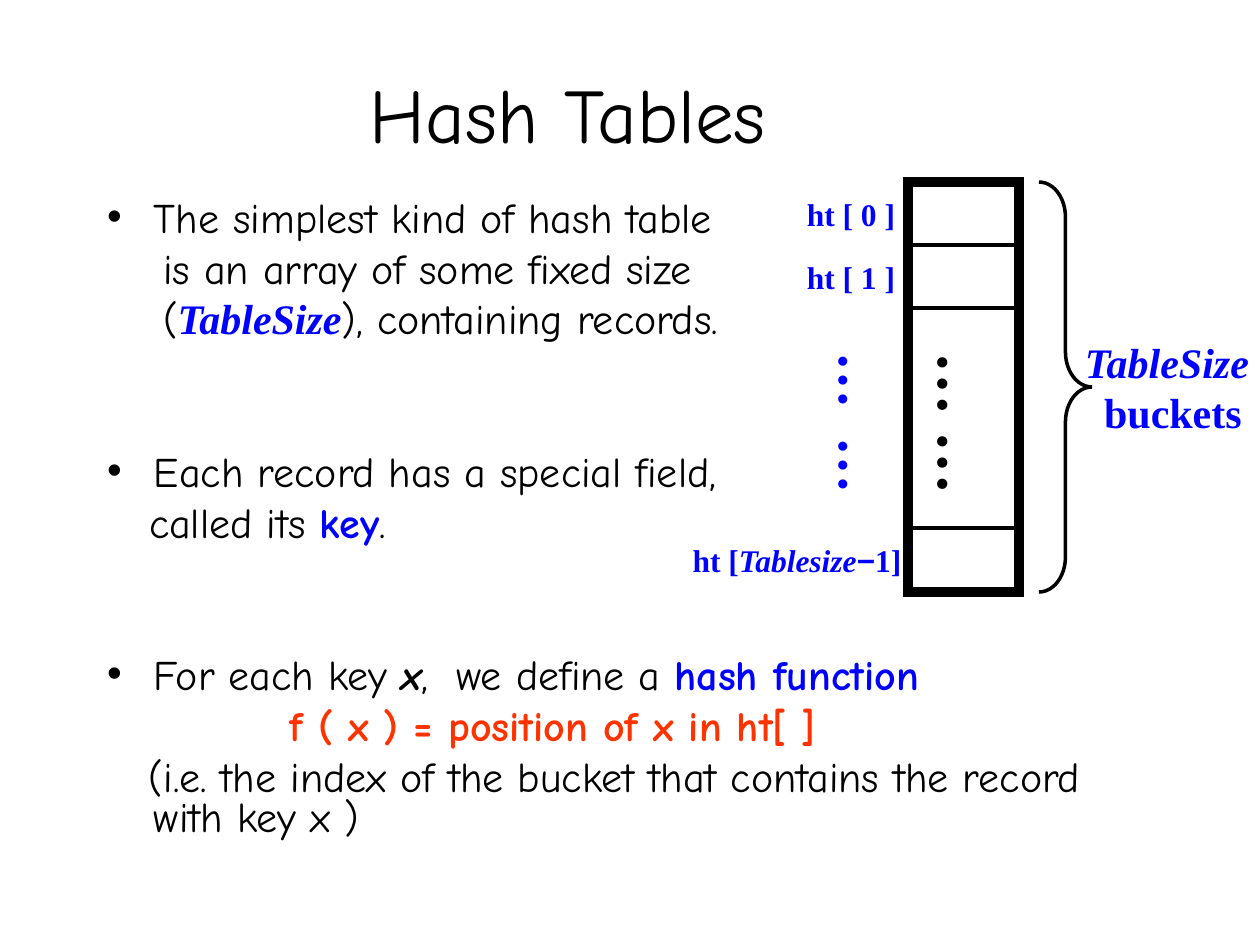
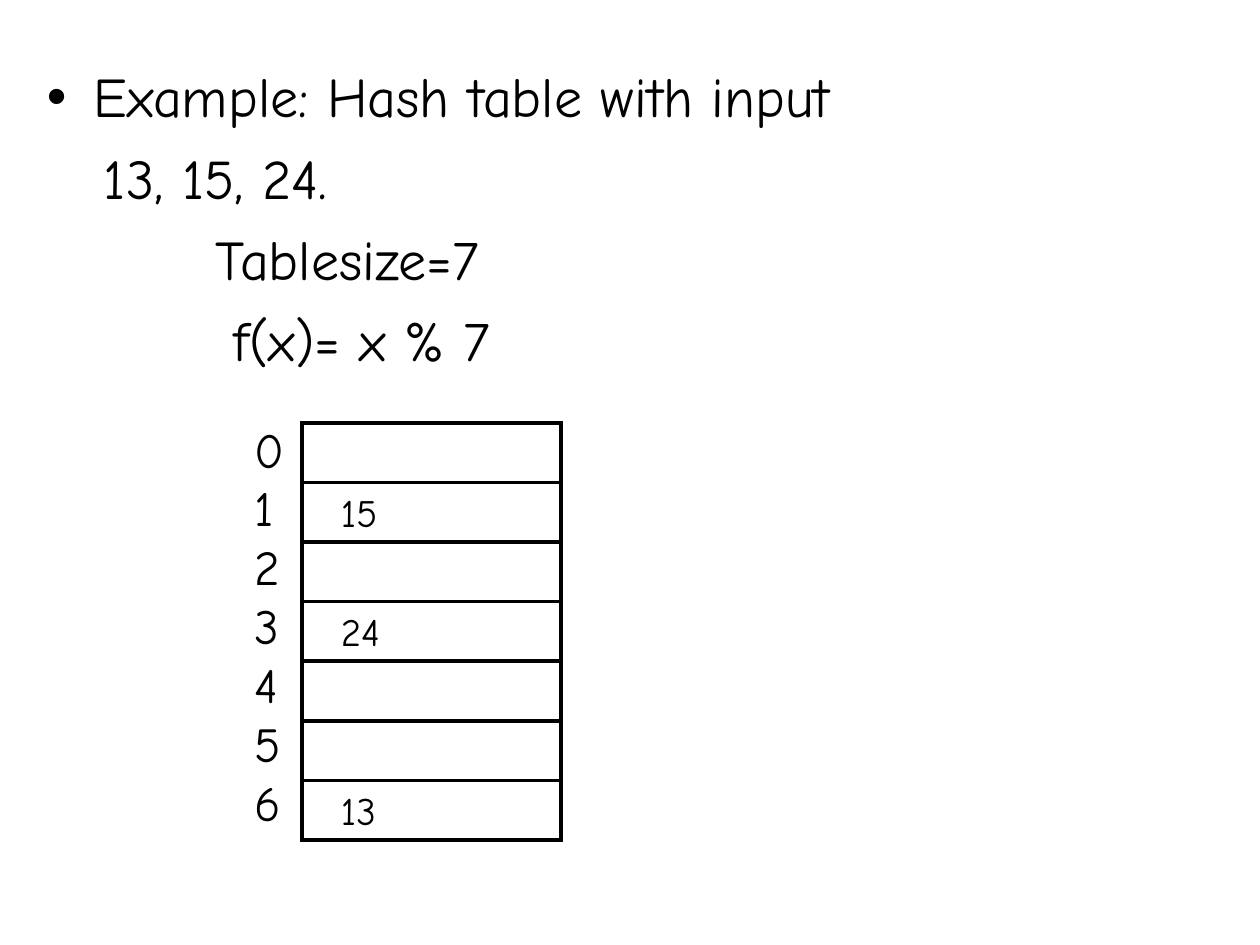
from lxml.etree import SubElement
from pptx import Presentation
from pptx.dml.color import RGBColor
from pptx.enum.shapes import MSO_SHAPE as Shape
from pptx.enum.text import MSO_ANCHOR as Anchor, PP_ALIGN as Align
from pptx.oxml.ns import qn
from pptx.util import Emu, Pt

EMU_PER_PX = 914400 / 126
COLORS = {"ink": "000000", "blue": "0000FF", "red": "FF3300"}
COMIC, TIMES, ARIAL = "Comic Neue", "Times New Roman", "Arial"

STYLES = {
    "plain": dict(font=COMIC),
    "wide": dict(font=COMIC, spacing=8),
    "term": dict(font=COMIC, color="blue", bold=True),
    "variable": dict(font=COMIC, bold=True, italic=True),
    "formula": dict(font=COMIC, color="red", bold=True),
    "label": dict(font=TIMES, color="blue", bold=True),
    "label_wide": dict(font=TIMES, color="blue", bold=True, spacing=8),
    "label_name": dict(font=TIMES, color="blue", bold=True, italic=True),
    "label_sign": dict(font=ARIAL, color="blue", bold=True),
    "dots": dict(font=TIMES, bold=True),
}

TITLE = [dict(runs=[("Hash Tables", "plain")])]
BULLET = dict(bullet=True, left=47, first=-47)
POINTS = [
    dict(runs=[("The simplest kind of hash table", "plain")], **BULLET),
    dict(runs=[("is an array of some fixed size", "plain")], left=56),
    dict(runs=[("(", "plain"), ("TableSize", "label_name"),
               ("), containing records.", "plain")], left=56),
    dict(runs=[("Each record has a special field,", "plain")], before=64, **BULLET),
    dict(runs=[("called its ", "plain"), ("key", "term"), (".", "plain")], left=42),
    dict(runs=[("For each key ", "plain"), ("x", "variable"), (",", "plain"),
               (" ", "wide"), ("we define a ", "plain"),
               ("hash function", "term")], before=64, **BULLET),
    dict(runs=[("f ( x ) = position of x in ht[ ]", "formula")], left=183),
    dict(runs=[("(i.e. the index of the bucket that contains the record with key x )",
                "plain")], left=47, first=-5),
]
BUCKETS = [
    (182, 851, [("ht [ 0 ]", "label")]),
    (245, 851, [("ht [ 1 ]", "label")]),
    (528, 797, [("ht [", "label"), ("Tablesize", "label_name"),
                ("−", "label_sign"), ("1]", "label")]),
]
ELLIPSES = [
    (862, 32, [("…", "label"), (" ", "label_wide"), ("…", "label")]),
    (964, 36, [("… …", "dots")]),
]
BRACE_TEXT = [dict(runs=[("TableSize", "label_name")], right=12),
              dict(runs=[("buckets", "label")])]
EXAMPLE = [
    dict(runs=[("Example: Hash table with input", "plain")], **BULLET),
    dict(runs=[("13, 15, 24.", "plain")], left=57),
    dict(runs=[("Tablesize=7", "plain")], left=169),
    dict(runs=[("f(x)= x % 7", "plain")], left=187),
]
KEYS = [13, 15, 24]
TABLE_SIZE = 7

COLUMN_LEFT, COLUMN_TOP, COLUMN_W, COLUMN_H, BUCKET_H = 908, 182, 111, 410, 63
ROWS_LEFT, ROWS_TOP, ROWS_W, ROWS_H = 302, 423, 259, 417


def px(n):
    return Emu(round(n * EMU_PER_PX))


def rgb(name):
    return RGBColor.from_string(COLORS[name])


def style_run(r, size, font, color="ink", bold=False, italic=False, spacing=0):
    f = r.font
    f.size, f.name, f.bold, f.italic = Pt(size), font, bold, italic
    f.color.rgb = rgb(color)
    if spacing:
        r._r.get_or_add_rPr().set("spc", str(spacing * 100))


def write(tf, paragraphs, size, align=Align.LEFT, before=0, line=None,
          anchor=Anchor.TOP, wrap=True, insets=(13, 6, 13, 6)):
    tf.word_wrap, tf.vertical_anchor = wrap, anchor
    tf.margin_left, tf.margin_top, tf.margin_right, tf.margin_bottom = map(px, insets)
    for i, item in enumerate(paragraphs):
        p = tf.add_paragraph() if i else tf.paragraphs[0]
        pPr = p._p.get_or_add_pPr()
        for name, key in (("marL", "left"), ("marR", "right"), ("indent", "first")):
            pPr.set(name, str(px(item.get(key, 0))))
        if item.get("bullet"):
            SubElement(pPr, qn("a:buFont")).set("typeface", ARIAL)
            SubElement(pPr, qn("a:buChar")).set("char", "•")
        p.alignment = align
        if line:
            p.line_spacing = line
        p.space_before = Pt(item.get("before", before) if i else 0)
        for text, style in item["runs"]:
            r = p.add_run()
            r.text = text
            style_run(r, size, **STYLES[style])


def add_text(s, box, paragraphs, size, **options):
    tf = s.shapes.add_textbox(*map(px, box)).text_frame
    write(tf, paragraphs, size, **options)
    return tf


def add_outline(s, shape, box, width=2):
    sp = s.shapes.add_shape(shape, *map(px, box))
    sp.shadow.inherit = False
    sp.fill.background()
    sp.line.color.rgb = rgb("ink")
    sp.line.width = Pt(width)
    SubElement(sp.line._get_or_add_ln(), qn("a:miter")).set("lim", "800000")
    return sp


def add_label(s, center, top, w, h, paragraphs, size, **options):
    return add_text(s, (center - w / 2, top, w, h), paragraphs, size,
                    align=Align.CENTER, anchor=Anchor.MIDDLE, **options)


def hash_tables_slide(s):
    add_text(s, (95, 21, 946, 144), TITLE, 44, align=Align.CENTER, anchor=Anchor.BOTTOM)
    add_text(s, (94, 195, 1052, 694), POINTS, 24, before=6, line=0.8)
    for top, center, runs in BUCKETS:
        add_outline(s, Shape.RECTANGLE, (COLUMN_LEFT, top, COLUMN_W, BUCKET_H))
        add_label(s, center, top + 11, 260, 42, [dict(runs=runs)], 18)
    add_outline(s, Shape.RECTANGLE, (COLUMN_LEFT, COLUMN_TOP, COLUMN_W, COLUMN_H), 6)
    for center, size, runs in ELLIPSES:
        tf = add_label(s, center, 340, 53, 189, [dict(runs=runs)], size,
                       wrap=False, insets=(6, 13, 6, 13))
        tf._txBody.bodyPr.set("vert", "eaVert")
    brace = add_outline(s, Shape.RIGHT_BRACE, (1039, COLUMN_TOP, 53, COLUMN_H))
    brace.adjustments[0] = 0.66
    add_label(s, 1173, 350, 240, 73, BRACE_TEXT, 24, wrap=False)


def example_slide(s):
    add_text(s, (34, 56, 1061, 328), EXAMPLE, 32, before=8)
    stored = {key % TABLE_SIZE: key for key in KEYS}
    row_h = ROWS_H / TABLE_SIZE
    for i in range(TABLE_SIZE):
        row = add_outline(s, Shape.RECTANGLE,
                          (ROWS_LEFT, ROWS_TOP + i * row_h, ROWS_W, row_h))
        if i in stored:
            write(row.text_frame, [dict(runs=[(str(stored[i]), "plain")])], 22.2,
                  insets=(39, 6, 13, 6))
    indexes = [dict(runs=[(str(i), "plain")]) for i in range(TABLE_SIZE)]
    add_text(s, (242, 413, 59, 484), indexes, 28)


def main():
    prs = Presentation()
    prs.slide_width, prs.slide_height = px(1260), px(945)
    for build in (hash_tables_slide, example_slide):
        build(prs.slides.add_slide(prs.slide_layouts[6]))
    prs.save("out.pptx")


if __name__ == "__main__":
    main()
